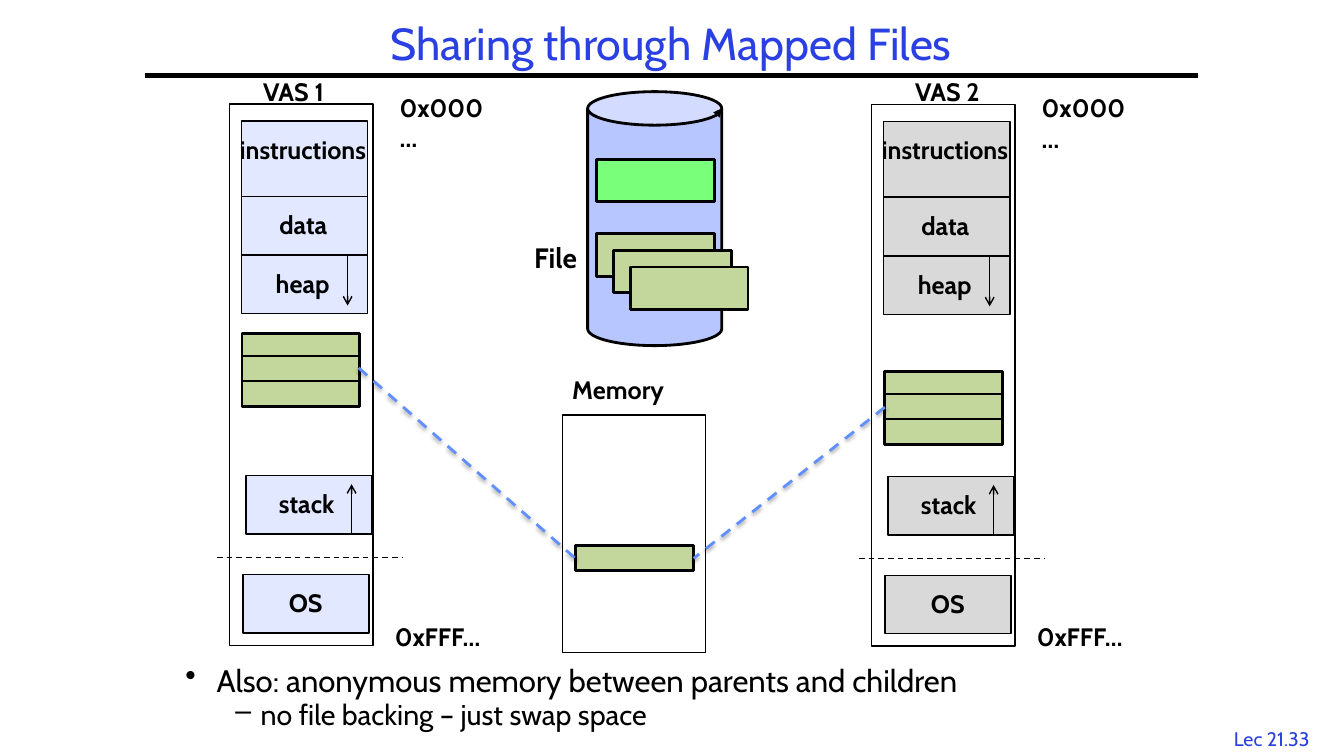
from dataclasses import dataclass

from lxml import etree
from pptx import Presentation
from pptx.dml.color import RGBColor
from pptx.enum.dml import MSO_LINE
from pptx.enum.shapes import MSO_CONNECTOR, MSO_SHAPE
from pptx.enum.text import MSO_ANCHOR, PP_ALIGN
from pptx.oxml.ns import qn
from pptx.util import Cm, Pt

DASH = MSO_LINE.DASH
STRAIGHT = MSO_CONNECTOR.STRAIGHT
RECT, CAN = MSO_SHAPE.RECTANGLE, MSO_SHAPE.CAN
TOP, MIDDLE = MSO_ANCHOR.TOP, MSO_ANCHOR.MIDDLE
LEFT, CENTER = PP_ALIGN.LEFT, PP_ALIGN.CENTER


@dataclass(frozen=True)
class Theme:
    """Colours, font and type sizes of the slide."""
    font: str = "Cabin"
    ink: str = "000000"
    title: str = "2A40E2"
    disk: str = "B7C6FE"
    fresh: str = "79FF79"
    page: str = "C3D69B"
    first: str = "E2E8FF"
    second: str = "D9D9D9"
    link: str = "618FFD"
    head_size: float = 32
    body_size: float = 22.2
    sub_size: float = 20.4
    file_size: float = 20
    label_size: float = 18
    foot_size: float = 14


class Deck:
    """Draws elements on one slide in one style, with lengths in cm."""

    def __init__(self, theme):
        self.theme = theme
        self.prs = Presentation()
        self.prs.slide_width, self.prs.slide_height = Cm(33.87), Cm(19.05)
        self.slide = self.prs.slides.add_slide(self.prs.slide_layouts[6])

    def run(self, para, text, size, color, bold=False):
        """Add one styled run to a paragraph."""
        run = para.add_run()
        run.text = text
        run.font.name = self.theme.font
        run.font.size = Pt(size)
        run.font.bold = bold
        run.font.color.rgb = RGBColor.from_string(color)

    def frame(self, x, y, w, h, anchor=TOP):
        """Add an empty wrapping text box and return its frame."""
        frame = self.slide.shapes.add_textbox(Cm(x), Cm(y), Cm(w), Cm(h)).text_frame
        frame.word_wrap = True
        frame.vertical_anchor = anchor
        return frame

    def text(self, x, y, w, h, words, size, color, align=CENTER, anchor=TOP):
        """Add one plain line of text."""
        para = self.frame(x, y, w, h, anchor).paragraphs[0]
        para.alignment = align
        para.line_spacing = 0.9 if anchor == MIDDLE else 1.0
        self.run(para, words, size, color)

    def label(self, x, y, w, words, size=None):
        """Add a bold label."""
        para = self.frame(x, y, w, 1.02).paragraphs[0]
        para.alignment = LEFT
        self.run(para, words, size or self.theme.label_size, self.theme.ink, True)

    def bullets(self, x, y, w, h, items):
        """Add bullets given as mark, margin, hang, size, gap and words."""
        frame = self.frame(x, y, w, h)
        for i, (mark, margin, hang, size, gap, words) in enumerate(items):
            para = frame.add_paragraph() if i else frame.paragraphs[0]
            para.level = i
            para.line_spacing = 0.7
            para.space_before = Pt(gap)
            props = para._p.get_or_add_pPr()
            props.set("marL", str(Cm(margin)))
            props.set("indent", str(-Cm(hang)))
            etree.SubElement(props, qn("a:buChar"), char=mark)
            self.run(para, words, size, self.theme.ink)

    def shape(self, x, y, w, h, fill=None, width=1, kind=RECT):
        """Add an outlined shape, open when no fill is given."""
        shape = self.slide.shapes.add_shape(kind, Cm(x), Cm(y), Cm(w), Cm(h))
        shape.shadow.inherit = False
        if fill:
            shape.fill.solid()
            shape.fill.fore_color.rgb = RGBColor.from_string(fill)
        else:
            shape.fill.background()
        shape.line.color.rgb = RGBColor.from_string(self.theme.ink)
        shape.line.width = Pt(width)
        return shape

    def page(self, x, y, h=0.64, fill=None):
        """Add one page of a file."""
        self.shape(x, y, 2.97, h, fill or self.theme.page, 2)

    def line(self, x1, y1, x2, y2, width=1, color=None, dash=False, arrow=False, shade=False):
        """Add a straight line."""
        line = self.slide.shapes.add_connector(STRAIGHT, Cm(x1), Cm(y1), Cm(x2), Cm(y2))
        line.line.color.rgb = RGBColor.from_string(color or self.theme.ink)
        line.line.width = Pt(width)
        if dash:
            line.line.dash_style = DASH
        props = line._element.spPr
        if arrow:
            etree.SubElement(props.find(qn("a:ln")), qn("a:tailEnd"), type="arrow")
        effect = etree.SubElement(props, qn("a:effectLst"))
        if shade:
            cast = etree.SubElement(effect, qn("a:outerShdw"), blurRad=str(Pt(3.1)),
                                    dist=str(Pt(1.6)), dir="5400000", rotWithShape="0")
            tint = etree.SubElement(cast, qn("a:srgbClr"), val=self.theme.ink)
            etree.SubElement(tint, qn("a:alpha"), val="38000")

    def space(self, x, y, fill):
        """Add a virtual address space with its segments."""
        self.shape(x, y, 3.61, 13.64)
        self.label(x + 4.03, y - 0.43, 2.95, "0x000…")
        self.label(x + 3.91, y + 12.9, 3.05, "0xFFF…")
        for name, dx, dy, h, inset, w in (
            ("instructions", 0.3, 0.43, 1.9, 0, 4.19),
            ("data", 0.3, 2.34, 1.47, 1, 1.83),
            ("heap", 0.3, 3.81, 1.47, 0.91, 2.01),
            ("stack", 0.41, 9.37, 1.47, 0.99, 2.16),
            ("OS", 0.33, 11.86, 1.47, 1.24, 1.45),
        ):
            self.shape(x + dx, y + dy, 3.18, h, fill)
            self.label(x + inset, y + dy + 0.2, w, name)
        self.line(x + 3.07, y + 10.85, x + 3.07, y + 9.58, arrow=True)
        self.line(x + 2.97, y + 3.81, x + 2.97, y + 5.08, arrow=True)
        self.line(x - 0.32, y + 11.43, x + 4.34, y + 11.43, dash=True)


def main():
    """Build and save the slide."""
    theme = Theme()
    deck = Deck(theme)
    deck.text(30.68, 18.19, 2.74, 0.84, "Lec 21.33", theme.foot_size, theme.title)
    deck.line(3.66, 1.9, 30.2, 1.9, 3)
    deck.text(3.66, 0.43, 26.52, 1.47, "Sharing through Mapped Files",
              theme.head_size, theme.title, anchor=MIDDLE)
    deck.bullets(4.42, 16.81, 25.22, 1.85, (
        ("•", 0.79, 0.79, theme.body_size, 0,
         "Also: anonymous memory between parents and children"),
        ("–", 1.9, 0.64, theme.sub_size, 6.1, "no file backing – just swap space"),
    ))

    disk = deck.shape(14.81, 2.31, 3.38, 6.4, theme.disk, 2, CAN)
    disk.adjustments[0] = 0.25
    etree.SubElement(disk._element.spPr.find(qn("a:ln")), qn("a:headEnd"), type="triangle")
    deck.page(15.04, 4.01, 1.07, theme.fresh)
    for i in range(3):
        deck.page(15.04 + 0.42 * i, 5.89 + 0.42 * i, 1.07)
    deck.label(13.21, 5.94, 1.73, "File", theme.file_size)

    deck.space(21.97, 2.64, theme.second)
    deck.space(5.79, 2.62, theme.first)
    for x, y in ((6.1, 8.41), (22.3, 9.37)):
        for step in (0, 0.56, 1.19):
            deck.page(x, y + step)

    deck.shape(14.17, 10.46, 3.61, 5.99)
    deck.page(14.5, 13.74)
    deck.label(6.38, 1.8, 2.31, "VAS 1")
    deck.label(22.81, 1.8, 2.31, "VAS 2")
    for x1, y1, x2 in ((9.04, 9.27, 14.5), (22.3, 10.26, 17.48)):
        deck.line(x1, y1, x2, 14.07, 2, theme.link, dash=True, shade=True)
    deck.label(14.17, 9.32, 2.97, "Memory")
    deck.prs.save("out.pptx")


if __name__ == "__main__":
    main()
